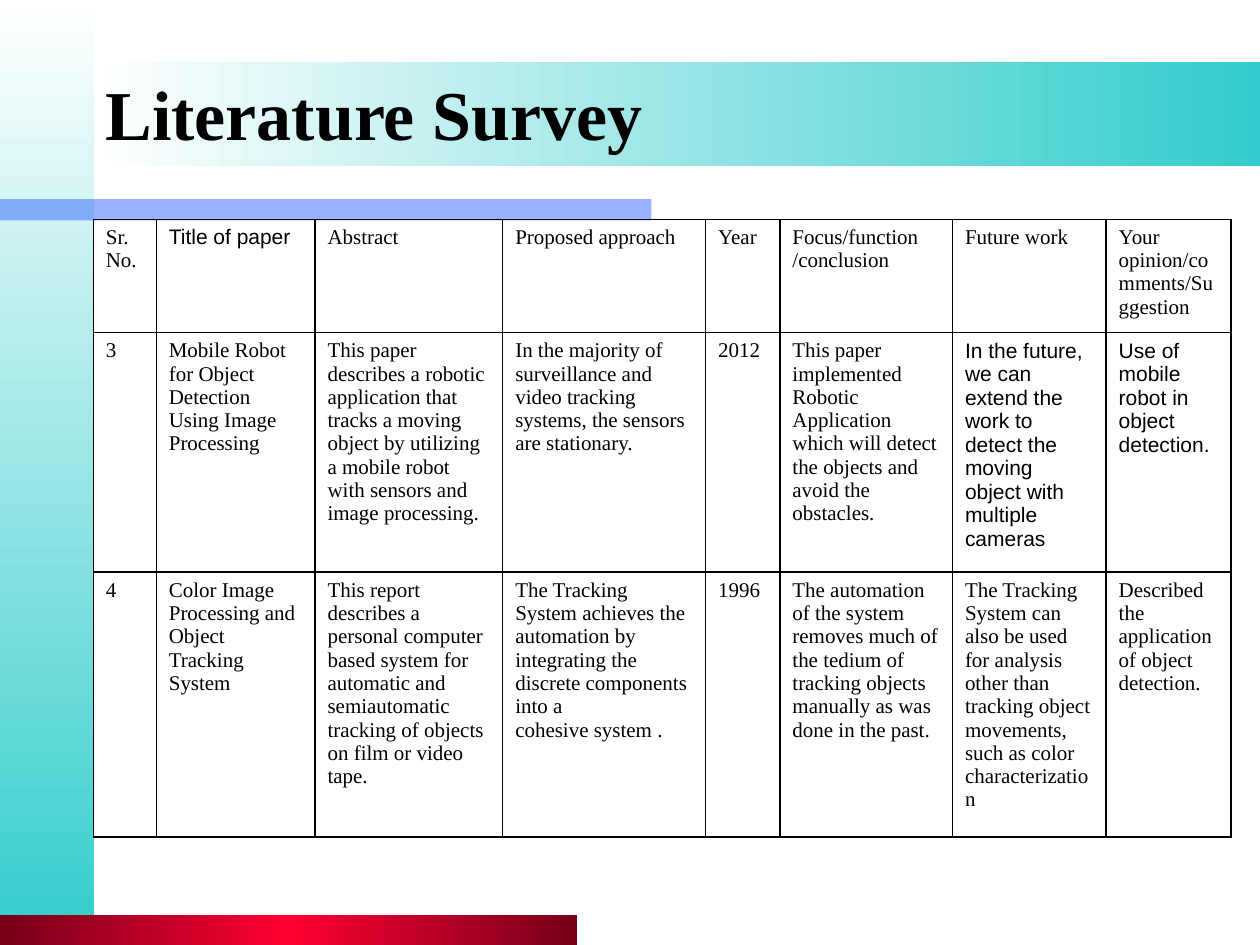
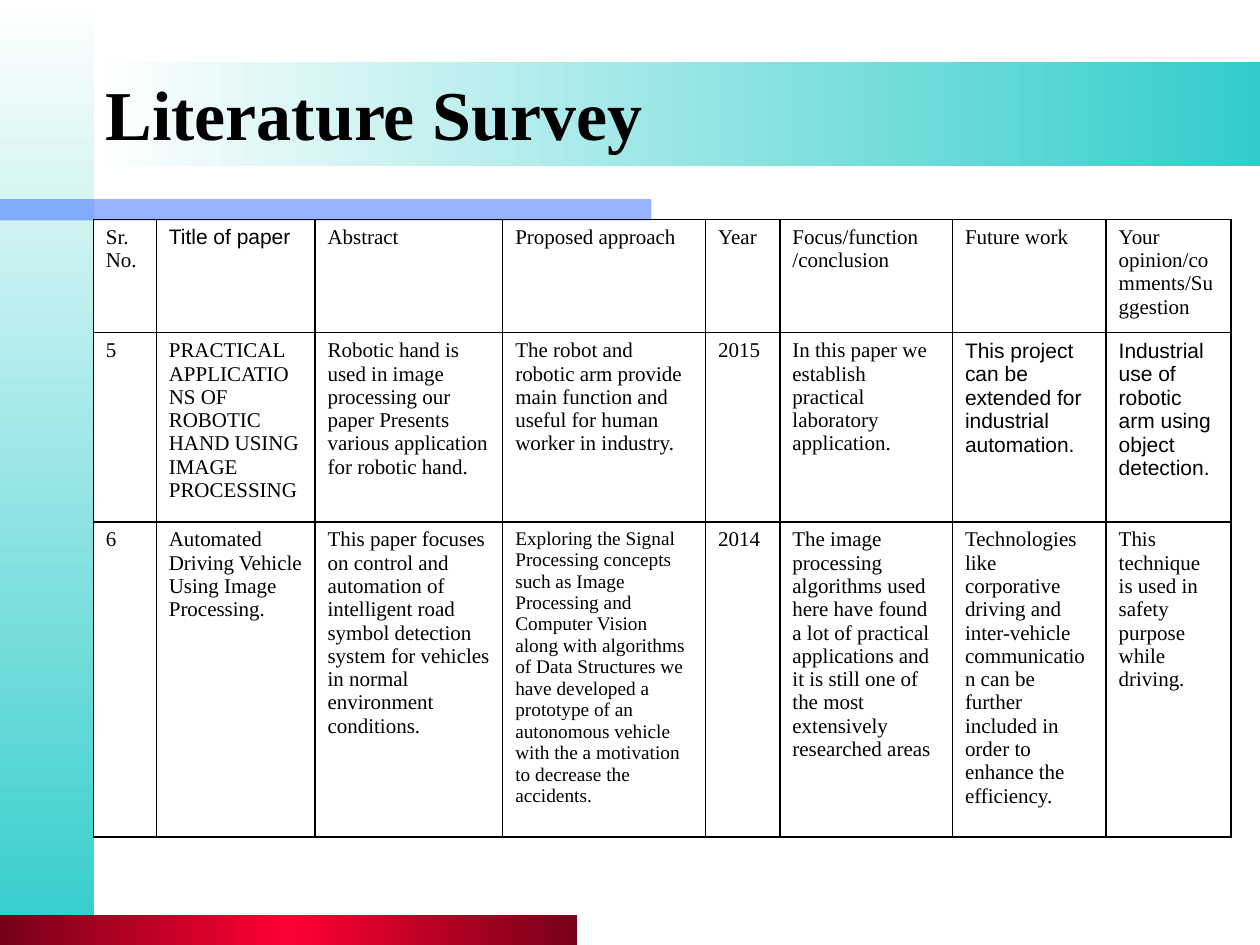
from lxml import etree
from pptx import Presentation
from pptx.dml.color import RGBColor
from pptx.enum import shapes, text
from pptx.oxml import ns
from pptx.util import Inches, Pt

# Content
TITLE = "Literature Survey"
HEADER = ["Sr.\vNo.", "Title of paper", "Abstract", "Proposed approach", "Year",
          "Focus/function\n/conclusion", "Future work",
          "Your opinion/comments/Suggestion"]
SURVEYS = [
    [
        ["3", "Mobile Robot for Object Detection Using Image Processing",
         "This paper describes a robotic application that tracks a moving object by "
         "utilizing a mobile robot with sensors and image processing.",
         "In the majority of surveillance and video tracking systems, the sensors are "
         "stationary.",
         "2012",
         "This paper implemented Robotic Application which will detect the objects and "
         "avoid the obstacles.",
         "In the future, we can extend the work to detect the moving object with "
         "multiple cameras",
         "Use of mobile robot in object detection."],
        ["4", "Color Image Processing and Object Tracking System",
         "This report describes a personal computer based system for automatic and "
         "semiautomatic\ntracking of objects on film or video tape.",
         "The Tracking System achieves the automation by integrating the discrete "
         "components into a\ncohesive system .",
         "1996",
         "The automation of the system removes much of the tedium of tracking objects "
         "manually as was done in the past.",
         "The Tracking System can also be used for analysis other than tracking object "
         "movements, such as color characterization",
         "Described the application of object detection."],
    ],
    [
        ["5", "PRACTICAL APPLICATIONS OF ROBOTIC HAND USING IMAGE PROCESSING",
         "Robotic hand is used in image processing our paper Presents various "
         "application for robotic hand.",
         "The robot and robotic arm provide main function and useful for human worker "
         "in industry.",
         "2015",
         "In this paper we establish practical laboratory application.",
         "This project can be extended for industrial automation.",
         "Industrial use of robotic arm using object detection."],
        ["6", "Automated Driving Vehicle Using Image Processing.",
         "This paper focuses on control and automation of intelligent road symbol "
         "detection system for vehicles in normal environment conditions.",
         "Exploring the Signal Processing concepts such as Image Processing and "
         "Computer Vision along with algorithms of Data Structures we have developed a "
         "prototype of an autonomous vehicle with the a motivation to decrease the "
         "accidents.",
         "2014",
         "The image processing algorithms used here have found a lot of practical "
         "applications and it is still one of the most extensively researched areas",
         "Technologies like corporative driving and inter-vehicle communication can be "
         "further included in order to enhance the efficiency.",
         "This technique is used in safety purpose while driving."],
    ],
]

# Shared style
COLORS = {"white": "FFFFFF", "teal": "33CCCC", "blue": "3366FF",
          "maroon": "760018", "red": "FF0033", "black": "000000"}
SERIF, SANS = "Times New Roman", "Arial"
SANS_CELLS = {(0, 1), (1, 6), (1, 7)}
LONG_TEXT = 200   # cells longer than this use the smaller size
COL_WIDTHS = [0.5, 1.26, 1.49, 1.61, 0.59, 1.37, 1.22, 0.99]
ROW_HEIGHTS = [0.77, 0.45, 0.45]   # minimums; rows grow with their text

# Bands: box, colours from first to last, gradient angle, opacity in percent
BANDS = [
    ((0, 0, 0.75, 7.5), ["white", "teal"], 90, 100),
    ((0, 1.58, 5.17, 0.17), ["blue"], 0, 50),
    ((0, 7.26, 4.58, 0.24), ["maroon", "red", "maroon"], 0, 100),
    ((0.75, 0.49, 9.25, 0.83), ["white", "teal"], 0, 100),
]


def sub(parent, tag, **attrs):
    return etree.SubElement(parent, ns.qn(tag), {k: str(v) for k, v in attrs.items()})


def set_font(p, **values):
    for r in p.runs:
        r.font.color.rgb = RGBColor.from_string(COLORS["black"])
        for name, value in values.items():
            setattr(r.font, name, value)


def add_band(s, box, names, angle, opacity):
    sp = s.shapes.add_shape(shapes.MSO_SHAPE.RECTANGLE, *map(Inches, box))
    sp.shadow.inherit = False
    sp.line.fill.background()
    if len(names) == 1:
        sp.fill.solid()
        sp.fill.fore_color.rgb = RGBColor.from_string(COLORS[names[0]])
        clr = sp.fill._xPr.find(ns.qn("a:solidFill"))[0]
        sub(clr, "a:alpha", val=opacity * 1000)
        return
    sp.fill.gradient()
    grad = sp.fill._xPr.find(ns.qn("a:gradFill"))
    for child in list(grad):
        grad.remove(child)
    stops = sub(grad, "a:gsLst")
    for i, name in enumerate(names):
        gs = sub(stops, "a:gs", pos=i * 100000 // (len(names) - 1))
        sub(gs, "a:srgbClr", val=COLORS[name])
    sub(grad, "a:lin", ang=angle * 60000, scaled=0)


def add_title(s):
    tf = s.shapes.add_textbox(*map(Inches, (0.74, 0.27, 8.5, 1.25))).text_frame
    tf.word_wrap = True
    tf.vertical_anchor = text.MSO_ANCHOR.MIDDLE
    tf.text = TITLE
    set_font(tf.paragraphs[0], name=SERIF, size=Pt(40), bold=True)


def add_borders(cell):
    tc_pr = cell._tc.get_or_add_tcPr()
    for i, side in enumerate(("a:lnL", "a:lnR", "a:lnT", "a:lnB")):
        ln = etree.Element(ns.qn(side), w=str(Pt(1)))
        sub(sub(ln, "a:solidFill"), "a:srgbClr", val=COLORS["black"])
        tc_pr.insert(i, ln)


def add_survey(s, rows):
    frame = s.shapes.add_table(len(rows), len(COL_WIDTHS), Inches(0.74), Inches(1.74),
                               Inches(sum(COL_WIDTHS)), Inches(sum(ROW_HEIGHTS)))
    table = frame.table
    table.first_row = table.horz_banding = False
    for col, width in zip(table.columns, COL_WIDTHS):
        col.width = Inches(width)
    for row, height in zip(table.rows, ROW_HEIGHTS):
        row.height = Inches(height)
    for i, row in enumerate(rows):
        for j, words in enumerate(row):
            cell = table.cell(i, j)
            cell.fill.background()
            add_borders(cell)
            cell.text_frame.text = words
            font = SANS if (i, j) in SANS_CELLS else SERIF
            size = Pt(11 if len(words) > LONG_TEXT else 12)
            for p in cell.text_frame.paragraphs:
                set_font(p, name=font, size=size)


def main():
    prs = Presentation()
    prs.slide_width, prs.slide_height = Inches(10), Inches(7.5)
    for papers in SURVEYS:
        s = prs.slides.add_slide(prs.slide_layouts[6])
        for band in BANDS:
            add_band(s, *band)
        add_title(s)
        add_survey(s, [HEADER] + papers)
    prs.save("out.pptx")


if __name__ == "__main__":
    main()
